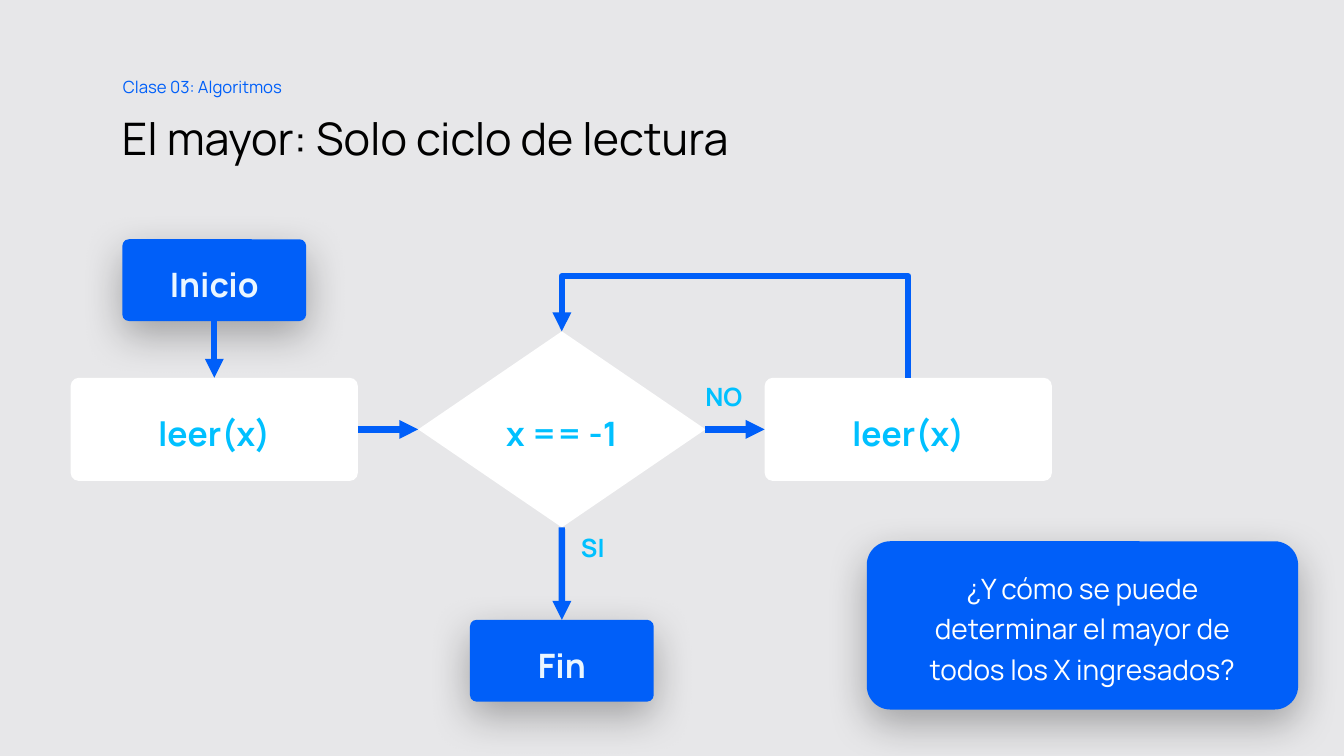
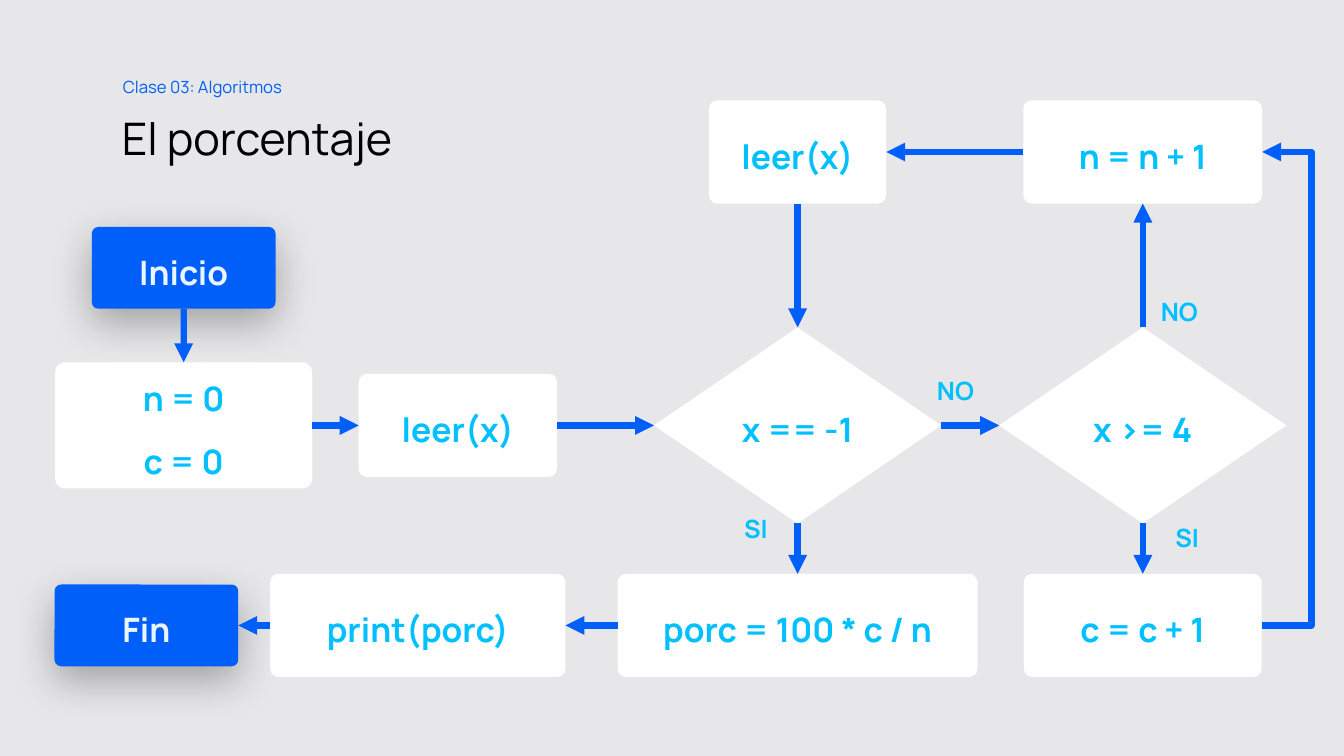
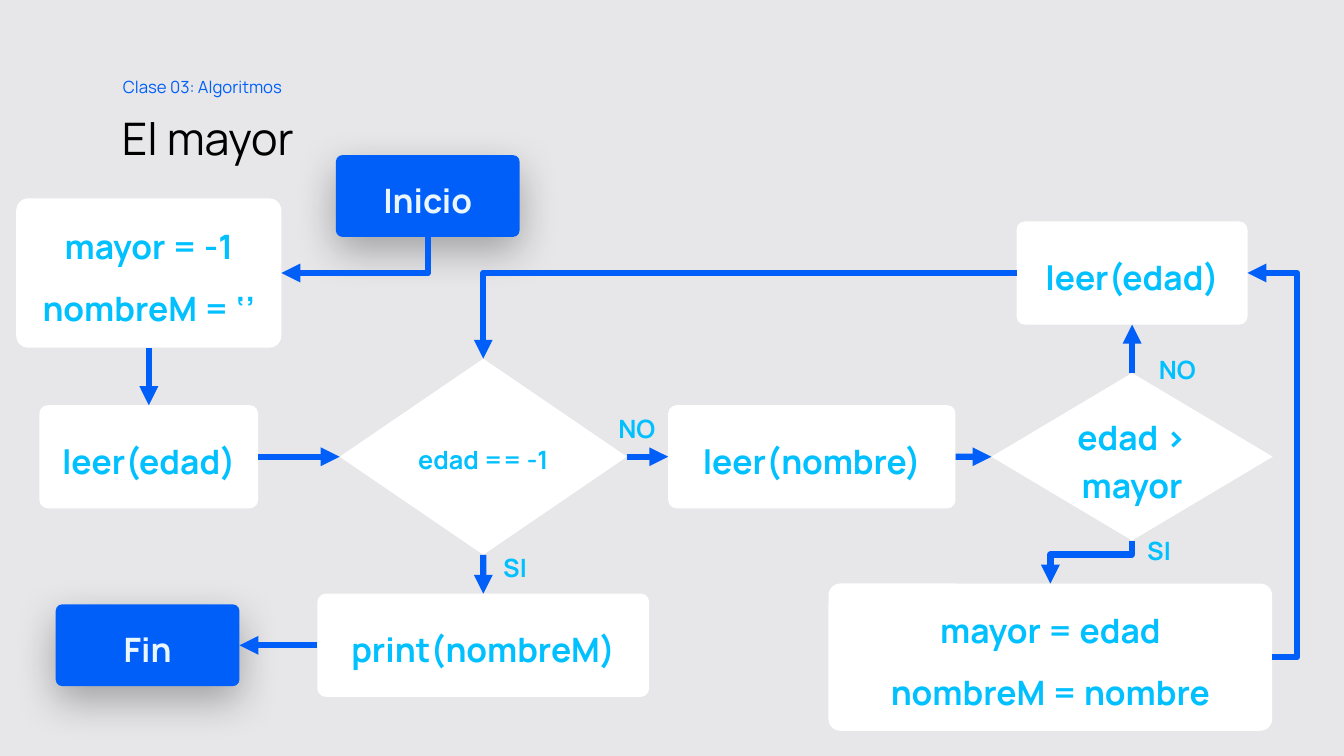
from lxml.etree import SubElement
from pptx import Presentation
from pptx.dml.color import RGBColor
from pptx.enum.shapes import MSO_CONNECTOR, MSO_SHAPE
from pptx.enum.text import MSO_ANCHOR, PP_ALIGN
from pptx.oxml.ns import qn
from pptx.util import Cm, Pt

BLUE = RGBColor(0x00, 0x5F, 0xF9)
CYAN = RGBColor(0x00, 0xC0, 0xFF)
ICE = RGBColor(0xEA, 0xF6, 0xFF)
WHITE = RGBColor(0xFF, 0xFF, 0xFF)
BLACK = RGBColor(0x00, 0x00, 0x00)
GREY = RGBColor(0xE7, 0xE7, 0xE9)

FONT = "Manrope"
COURSE = "Clase 03: Algoritmos"
TOP, LEFT, BOTTOM, RIGHT = range(4)
STEP_HEIGHT = 2.6


def write(frame, lines, size, color, bold=False, align=PP_ALIGN.CENTER, spacing=1.2):
    for index, line in enumerate(lines):
        paragraph = frame.add_paragraph() if index else frame.paragraphs[0]
        paragraph.alignment = align
        paragraph.line_spacing = spacing
        paragraph.space_before = Pt(10 if index else 0)
        run = paragraph.add_run()
        run.text = line
        run.font.name = FONT
        run.font.size = Pt(size)
        run.font.bold = bold
        run.font.color.rgb = color


def set_margins(frame, left=0, top=0, right=0, bottom=0):
    frame.margin_left, frame.margin_right = Cm(left), Cm(right)
    frame.margin_top, frame.margin_bottom = Cm(top), Cm(bottom)


def start_slide(prs, heading):
    slide = prs.slides.add_slide(prs.slide_layouts[5])
    course = slide.shapes.add_textbox(Cm(3.1), Cm(1.7), Cm(4.65), Cm(0.86)).text_frame
    course.word_wrap = False
    set_margins(course, 0, 0.13, 0.25, 0.13)
    write(course, [COURSE], 12, BLUE, align=PP_ALIGN.LEFT)

    title = slide.shapes.title
    title.left, title.top, title.width, title.height = Cm(3.07), Cm(2.54), Cm(27.56), Cm(1.9)
    title.text_frame.vertical_anchor = MSO_ANCHOR.MIDDLE
    set_margins(title.text_frame, 0, 0.25, 0.25, 0.13)
    write(title.text_frame, [heading], 32, BLACK, align=PP_ALIGN.LEFT, spacing=0.9)
    return slide


def add_shadow(shape):
    effects = shape.element.spPr.find(qn("a:effectLst"))
    shadow = SubElement(effects, qn("a:outerShdw"), blurRad=str(Pt(30)), dist=str(Pt(10)),
                        dir="5400000", algn="t", rotWithShape="0")
    color = SubElement(shadow, qn("a:srgbClr"), val=str(BLACK))
    SubElement(color, qn("a:alpha"), val="30000")


def add_node(slide, preset, center_x, center_y, width, height, fill):
    node = slide.shapes.add_shape(preset, Cm(center_x - width / 2), Cm(center_y - height / 2),
                                  Cm(width), Cm(height))
    node.shadow.inherit = False
    node.fill.solid()
    node.fill.fore_color.rgb = fill
    node.line.fill.background()
    node.text_frame.word_wrap = True
    node.text_frame.vertical_anchor = MSO_ANCHOR.MIDDLE
    set_margins(node.text_frame)
    return node


def add_terminal(slide, word, center_x, center_y):
    terminal = add_node(slide, MSO_SHAPE.ROUNDED_RECTANGLE, center_x, center_y, 4.63, 2.06, BLUE)
    terminal.adjustments[0] = 0.08
    add_shadow(terminal)
    write(terminal.text_frame, [word], 24, ICE, bold=True)
    return terminal


def add_step(slide, lines, center_x, center_y, width=7.24, height=STEP_HEIGHT):
    step = add_node(slide, MSO_SHAPE.ROUNDED_RECTANGLE, center_x, center_y, width, height, WHITE)
    step.adjustments[0] = 0.08
    write(step.text_frame, lines, 24, CYAN, bold=True)
    return step


def add_decision(slide, test, center_x, center_y, width=7.24, height=4.94, size=24):
    decision = add_node(slide, MSO_SHAPE.DIAMOND, center_x, center_y, width, height, WHITE)
    write(decision.text_frame, [test], size, CYAN, bold=True)
    return decision


def add_callout(slide, question, center_x, center_y, width, height):
    callout = add_node(slide, MSO_SHAPE.ROUNDED_RECTANGLE, center_x, center_y, width, height, BLUE)
    callout.adjustments[0] = 0.14
    add_shadow(callout)
    set_margins(callout.text_frame, left=1, right=1)
    write(callout.text_frame, [question], 20, WHITE)


def add_answers(slide, answers):
    for answer, left, top in answers:
        frame = slide.shapes.add_textbox(Cm(left), Cm(top), Cm(1.78), Cm(1.19)).text_frame
        frame.word_wrap = True
        write(frame, [answer], 18, CYAN, bold=True)


def add_arrow(slide, source, source_side, target, target_side, kind=MSO_CONNECTOR.STRAIGHT):
    arrow = slide.shapes.add_connector(kind, 0, 0, 0, 0)
    arrow.begin_connect(source, source_side)
    arrow.end_connect(target, target_side)
    arrow.line.color.rgb = BLUE
    arrow.line.width = Pt(4.5)
    SubElement(arrow.line._get_or_add_ln(), qn("a:tailEnd"), type="triangle")
    SubElement(arrow.element.spPr, qn("a:effectLst"))
    return arrow


def add_elbow(slide, source, source_side, target, target_side, via=None):
    arrow = add_arrow(slide, source, source_side, target, target_side, MSO_CONNECTOR.ELBOW)
    start_x, start_y = arrow.begin_x, arrow.begin_y
    run_x, run_y = arrow.end_x - start_x, arrow.end_y - start_y
    vertical = source_side in (TOP, BOTTOM)
    along, across = (run_y, -run_x) if vertical else (run_x, run_y)

    arrow.width, arrow.height = abs(along), abs(across)
    arrow.left = start_x + (run_x - abs(along)) // 2
    arrow.top = start_y + (run_y - abs(across)) // 2
    frame = arrow.element.spPr.find(qn("a:xfrm"))
    frame.set("rot", "5400000" if vertical else "0")
    frame.set("flipH", str(int(along < 0)))
    frame.set("flipV", str(int(across < 0)))

    geometry = arrow.element.spPr.find(qn("a:prstGeom"))
    if via is None:
        geometry.set("prst", "bentConnector2")
        return
    offset = Cm(via) - (start_y if vertical else start_x)
    guides = geometry.find(qn("a:avLst"))
    SubElement(guides, qn("a:gd"), name="adj1", fmla=f"val {round(100000 * offset / along)}")


def build_reading_loop(prs):
    slide = start_slide(prs, "El mayor: Solo ciclo de lectura")
    row, first_column, test_column = 10.82, 5.4, 14.16
    start = add_terminal(slide, "Inicio", first_column, 7.06)
    first_read = add_step(slide, ["leer(x)"], first_column, row)
    next_read = add_step(slide, ["leer(x)"], 22.89, row)
    end = add_terminal(slide, "Fin", test_column, 16.65)
    is_last = add_decision(slide, "x == -1", test_column, row)

    add_arrow(slide, start, BOTTOM, first_read, TOP)
    add_arrow(slide, first_read, RIGHT, is_last, LEFT)
    add_arrow(slide, is_last, RIGHT, next_read, LEFT)
    add_arrow(slide, is_last, BOTTOM, end, TOP)
    add_elbow(slide, next_read, TOP, is_last, TOP, via=6.96)
    add_answers(slide, [("SI", 14.05, 13.13), ("NO", 17.35, 9.32)])
    add_callout(slide, "¿Y cómo se puede determinar el mayor de todos los X ingresados?",
                27.28, 15.76, 10.87, 4.24)


def build_percentage(prs):
    slide = start_slide(prs, "El porcentaje")
    top_row, row, bottom_row = 3.83, 10.72, 15.76
    first_column, test_column, count_column = 4.63, 20.1, 28.8
    start = add_terminal(slide, "Inicio", first_column, 6.75)
    reset = add_step(slide, ["n = 0", "c = 0"], first_column, row, 6.48, 3.18)
    first_read = add_step(slide, ["leer(x)"], 11.54, row, 5)
    next_read = add_step(slide, ["leer(x)"], test_column, top_row, 4.47)
    is_last = add_decision(slide, "x == -1", test_column, row)
    passes = add_decision(slide, "x >= 4", count_column, row)
    add_total = add_step(slide, ["n = n + 1"], count_column, top_row, 6.02)
    add_passed = add_step(slide, ["c = c + 1"], count_column, bottom_row, 5.99)
    percentage = add_step(slide, ["porc = 100 * c / n"], test_column, bottom_row, 9.07)
    output = add_step(slide, ["print(porc)"], 10.53, bottom_row, 7.44)
    end = add_terminal(slide, "Fin", 3.69, bottom_row)

    add_arrow(slide, start, BOTTOM, reset, TOP)
    add_arrow(slide, reset, RIGHT, first_read, LEFT)
    add_arrow(slide, first_read, RIGHT, is_last, LEFT)
    add_arrow(slide, is_last, RIGHT, passes, LEFT)
    add_arrow(slide, is_last, BOTTOM, percentage, TOP)
    add_arrow(slide, percentage, LEFT, output, RIGHT)
    add_arrow(slide, output, LEFT, end, RIGHT)
    add_arrow(slide, passes, TOP, add_total, BOTTOM)
    add_arrow(slide, passes, BOTTOM, add_passed, TOP)
    add_arrow(slide, add_total, LEFT, next_read, RIGHT)
    add_arrow(slide, next_read, BOTTOM, is_last, TOP)
    add_elbow(slide, add_passed, RIGHT, add_total, RIGHT, via=33.05)
    add_answers(slide, [("SI", 18.16, 12.65), ("NO", 23.19, 9.19),
                        ("NO", 28.83, 7.19), ("SI", 29.03, 12.88)])


def build_oldest(prs):
    slide = start_slide(prs, "El mayor")
    top_row, row, bottom_row = 6.88, 11.51, 16.26
    first_column, test_column, compare_column = 3.75, 12.18, 28.53
    start = add_terminal(slide, "Inicio", 10.78, 4.94)
    reset = add_step(slide, ["mayor = -1", "nombreM = ‘’"], first_column, top_row, 6.68, 3.76)
    first_read = add_step(slide, ["leer(edad)"], first_column, row, 5.51)
    next_read = add_step(slide, ["leer(edad)"], compare_column, top_row, 5.82)
    is_last = add_decision(slide, "edad == -1", test_column, row, size=18)
    read_name = add_step(slide, ["leer(nombre)"], 20.46, row)
    is_older = add_decision(slide, "edad > mayor", compare_column, row, 7.09, 4.22)
    keep = add_step(slide, ["mayor = edad", "nombreM = nombre"], 26.47, 16.56, 11.18, 3.71)
    output = add_step(slide, ["print(nombreM)"], test_column, bottom_row, 8.36)
    end = add_terminal(slide, "Fin", 3.72, bottom_row)

    add_elbow(slide, start, BOTTOM, reset, RIGHT)
    add_arrow(slide, reset, BOTTOM, first_read, TOP)
    add_arrow(slide, first_read, RIGHT, is_last, LEFT)
    add_arrow(slide, is_last, RIGHT, read_name, LEFT)
    add_arrow(slide, is_last, BOTTOM, output, TOP)
    add_arrow(slide, output, LEFT, end, RIGHT)
    add_arrow(slide, read_name, RIGHT, is_older, LEFT)
    add_arrow(slide, is_older, TOP, next_read, BOTTOM)
    add_elbow(slide, is_older, BOTTOM, keep, TOP, via=13.97)
    add_elbow(slide, keep, RIGHT, next_read, RIGHT, via=32.69)
    add_elbow(slide, next_read, LEFT, is_last, TOP)
    add_answers(slide, [("SI", 12.09, 13.64), ("NO", 15.16, 10.13),
                        ("NO", 28.78, 8.64), ("SI", 28.32, 13.21)])


def main():
    prs = Presentation()
    prs.slide_width, prs.slide_height = Cm(33.87), Cm(19.05)
    background = prs.slide_master.background.fill
    background.solid()
    background.fore_color.rgb = GREY
    build_reading_loop(prs)
    build_percentage(prs)
    build_oldest(prs)
    prs.save("out.pptx")


if __name__ == "__main__":
    main()
